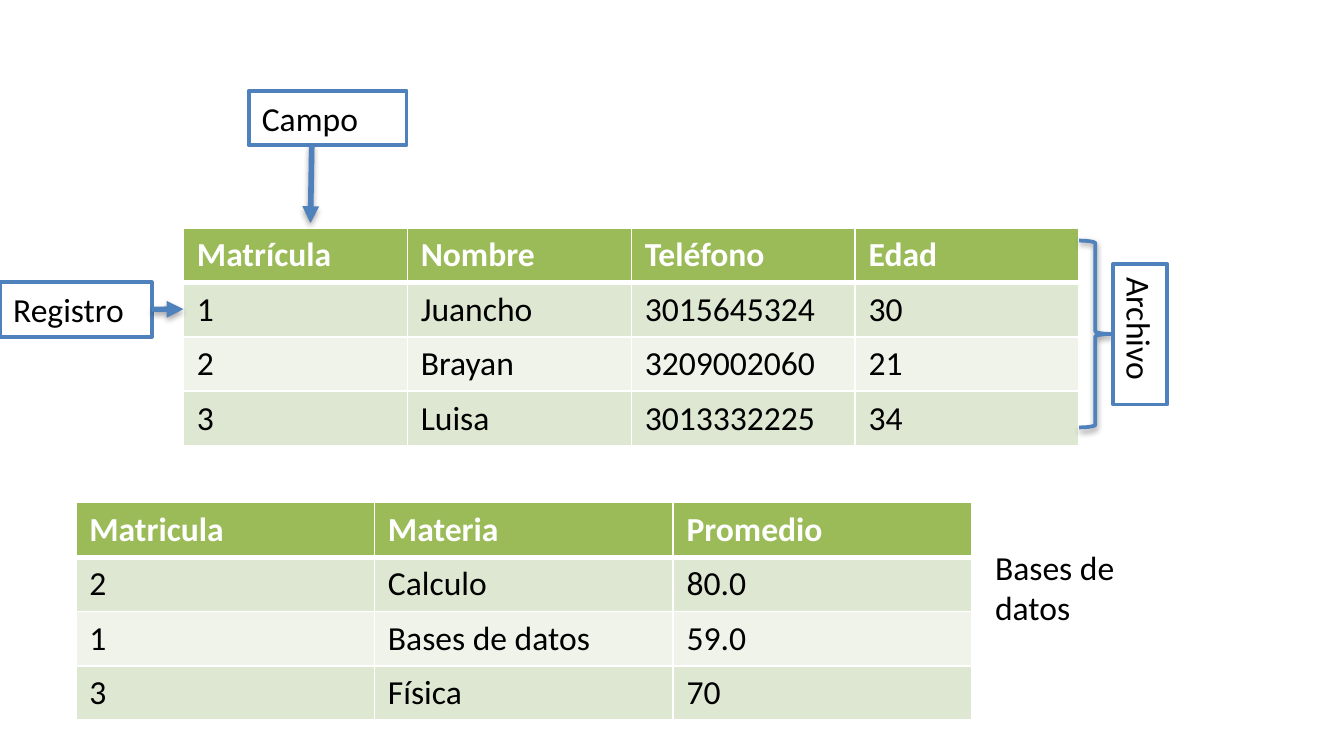
from lxml.etree import SubElement
from pptx import Presentation
from pptx.dml.color import RGBColor
from pptx.enum.shapes import MSO_CONNECTOR as Connector, MSO_SHAPE as Shape
from pptx.enum.text import MSO_AUTO_SIZE as AutoSize, PP_ALIGN as Align
from pptx.oxml.ns import qn
from pptx.util import Emu, Pt

PX = 4572
BLUE = RGBColor(0x4F, 0x81, 0xBD)
GREEN = RGBColor(0x9B, 0xBB, 0x59)
BAND_DARK = RGBColor(0xDE, 0xE7, 0xD1)
BAND_LIGHT = RGBColor(0xEF, 0xF3, 0xEA)
WHITE = RGBColor(0xFF, 0xFF, 0xFF)
BLACK = RGBColor(0x00, 0x00, 0x00)

STUDENTS = [
    ["Matrícula", "Nombre", "Teléfono", "Edad"],
    ["1", "Juancho", "3015645324", "30"],
    ["2", "Brayan", "3209002060", "21"],
    ["3", "Luisa", "3013332225", "34"],
]
GRADES = [
    ["Matricula", "Materia", "Promedio"],
    ["2", "Calculo", "80.0"],
    ["1", "Bases de datos", "59.0"],
    ["3", "Física", "70"],
]


def px(*lengths):
    return [Emu(length * PX) for length in lengths]


def write(frame, text, color=BLACK, bold=False):
    para = frame.paragraphs[0]
    para.text = text
    para.alignment = Align.LEFT
    para.font.name = "Calibri"
    para.font.size = Pt(18)
    para.font.bold = bold
    para.font.color.rgb = color


def add_fill(parent, color):
    fill = SubElement(parent, qn("a:solidFill"))
    SubElement(fill, qn("a:srgbClr"), val=str(color))


def add_shadow(item, distance, opacity):
    effects = SubElement(item._element.spPr, qn("a:effectLst"))
    shadow = SubElement(effects, qn("a:outerShdw"), blurRad="40000",
                        dist=str(Pt(distance)), dir="5400000", rotWithShape="0")
    color = SubElement(shadow, qn("a:srgbClr"), val=str(BLACK))
    SubElement(color, qn("a:alpha"), val=str(opacity * 1000))


def set_borders(cell, row):
    properties = cell._tc.get_or_add_tcPr()
    widths = {"L": 1, "R": 1, "T": 3 if row == 1 else 1, "B": 3 if row == 0 else 1}
    for side, width in widths.items():
        add_fill(SubElement(properties, qn(f"a:ln{side}"), w=str(Pt(width))), WHITE)


def add_data_table(page, left, top, rows):
    frame = page.shapes.add_table(len(rows), len(rows[0]), *px(left, top, 1333, 324))
    for row, values in enumerate(rows):
        header = row == 0
        band = BAND_DARK if row % 2 else BAND_LIGHT
        for column, value in enumerate(values):
            cell = frame.table.cell(row, column)
            set_borders(cell, row)
            cell.fill.solid()
            cell.fill.fore_color.rgb = GREEN if header else band
            write(cell.text_frame, value, WHITE if header else BLACK, header)


def add_label(page, text, left, top, width, rotation=0):
    box = page.shapes.add_shape(Shape.RECTANGLE, *px(left, top, width, 81))
    box.rotation = rotation
    box.fill.solid()
    box.fill.fore_color.rgb = WHITE
    box.line.color.rgb = BLUE
    box.line.width = Pt(2)
    box.shadow.inherit = False
    box.text_frame.word_wrap = True
    box.text_frame.auto_size = AutoSize.SHAPE_TO_FIT_TEXT
    write(box.text_frame, text)
    return box


def add_arrow(page, start, end):
    arrow = page.shapes.add_connector(Connector.STRAIGHT, *px(*start, *end))
    arrow.line.color.rgb = BLUE
    arrow.line.width = Pt(3)
    SubElement(arrow.line._get_or_add_ln(), qn("a:tailEnd"), type="triangle")
    add_shadow(arrow, 1.8, 35)
    return arrow


def add_brace(page, left, top, width, height):
    brace = page.shapes.add_shape(Shape.RIGHT_BRACE, *px(left, top, width, height))
    brace.fill.background()
    brace.line.color.rgb = BLUE
    brace.line.width = Pt(2)
    add_shadow(brace, 1.6, 38)


def add_caption(page, text, left, top, width, height):
    box = page.shapes.add_textbox(*px(left, top, width, height))
    box.text_frame.word_wrap = True
    box.text_frame.auto_size = AutoSize.SHAPE_TO_FIT_TEXT
    write(box.text_frame, text)


def main():
    deck = Presentation()
    deck.slide_width, deck.slide_height = px(2000, 1125)
    page = deck.slides.add_slide(deck.slide_layouts[6])

    add_data_table(page, 273, 339, STUDENTS)
    add_label(page, "Campo", 370, 135, 235)
    add_arrow(page, (464, 216), (462, 332))
    record = add_label(page, "Registro", 0, 420, 226)
    add_arrow(page, (226, 460), (273, 460)).begin_connect(record, 3)
    add_brace(page, 1606, 358, 48, 278)
    add_label(page, "Archivo", 1592, 457, 209, 90)
    add_data_table(page, 113, 748, GRADES)
    add_caption(page, "Bases de datos", 1461, 804, 290, 141)

    deck.save("out.pptx")


if __name__ == "__main__":
    main()
